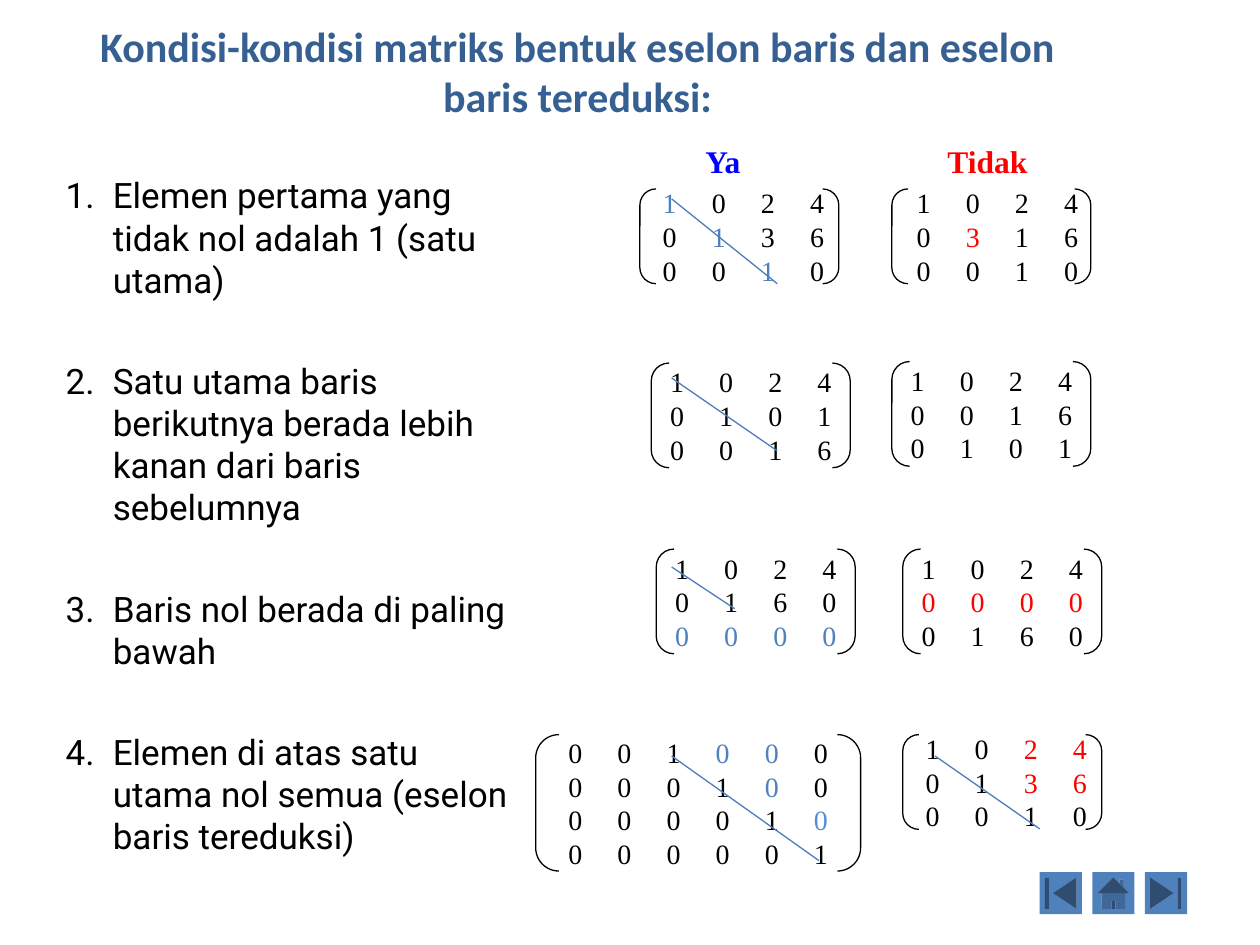
from lxml import etree
from pptx import Presentation
from pptx.dml.color import RGBColor
from pptx.enum.shapes import MSO_CONNECTOR, MSO_SHAPE as Shape
from pptx.enum.text import MSO_ANCHOR as Anchor, MSO_AUTO_SIZE as Fit, PP_ALIGN as Align
from pptx.oxml.ns import qn
from pptx.util import Cm, Pt

BLACK = RGBColor(0x00, 0x00, 0x00)
NAVY = RGBColor(0x37, 0x60, 0x92)
BLUE = RGBColor(0x00, 0x00, 0xFF)
RED = RGBColor(0xFF, 0x00, 0x00)
STEEL = RGBColor(0x4F, 0x81, 0xBD)
SKY = RGBColor(0x55, 0x8E, 0xD5)
EDGE = RGBColor(0x4A, 0x7E, 0xBB)
SERIF = "Times New Roman"


def write(para, text, font=SERIF, size=16, color=BLACK, bold=False):
    run = para.add_run()
    run.text = text
    run.font.name = font
    run.font.size = Pt(size)
    run.font.bold = bold
    run.font.color.rgb = color


def place(shape, left, top, width, height):
    shape.left, shape.top = Cm(left), Cm(top)
    shape.width, shape.height = Cm(width), Cm(height)


deck = Presentation()
deck.slide_width, deck.slide_height = Cm(25.4), Cm(19.05)
slide = deck.slides.add_slide(deck.slide_layouts[1])
shapes = slide.shapes

# Title
title = shapes.title
place(title, 1.27, 0.2, 20.75, 2.46)
frame = title.text_frame
frame.auto_size = Fit.NONE
frame.vertical_anchor = Anchor.MIDDLE
para = frame.paragraphs[0]
para.alignment = Align.CENTER
write(para, "Kondisi-kondisi matriks bentuk eselon baris dan eselon baris tereduksi:",
      font="Calibri", size=24, color=NAVY, bold=True)

# Numbered conditions
body = slide.placeholders[1]
place(body, 1.07, 3.38, 9.73, 14.4)
frame = body.text_frame
frame.auto_size = Fit.NONE
rules = [
    "Elemen pertama yang tidak nol adalah 1 (satu utama)",
    "Satu utama baris berikutnya berada lebih kanan dari baris sebelumnya",
    "Baris nol berada di paling bawah",
    "Elemen di atas satu utama nol semua (eselon baris tereduksi)",
]
for i, rule in enumerate(rules):
    para = frame.add_paragraph() if i else frame.paragraphs[0]
    para.space_before = Pt(34 if i else 0)
    props = para._p.get_or_add_pPr()
    props.set("marL", str(Cm(0.95)))
    props.set("indent", str(-Cm(0.95)))
    etree.SubElement(props, qn("a:buFont"), typeface="+mj-lt")
    etree.SubElement(props, qn("a:buAutoNum"), type="arabicPeriod")
    write(para, rule, font="Roboto", size=20)

# Column labels
for text, left, width, color in [("Ya", 13.97, 1.91, BLUE), ("Tidak", 18.85, 3.38, RED)]:
    box = shapes.add_textbox(Cm(left), Cm(2.74), Cm(width), Cm(1.02))
    box.text_frame.word_wrap = True
    write(box.text_frame.paragraphs[0], text, size=18, color=color, bold=True)

# Matrices: left, top, width, height, shift of the digits, rows;
# a letter before a digit names its colour
TINTS = {"b": STEEL, "s": SKY, "r": RED}
STEP, DIGIT = 0.99, 0.28
grids = [
    (12.9, 3.81, 4.01, 1.91, 0.08, ["b1 0 2 4", "0 b1 3 6", "0 0 b1 0"]),
    (17.98, 3.81, 4.01, 1.91, 0.12, ["1 0 2 4", "0 r3 1 6", "0 0 1 0"]),
    (13.13, 7.32, 4.01, 2.11, 0, ["1 0 2 4", "0 1 0 1", "0 0 1 6"]),
    (17.98, 7.29, 4.01, 2.11, 0, ["1 0 2 4", "0 0 1 6", "0 1 0 1"]),
    (13.23, 11.07, 4.01, 2.11, 0, ["1 0 2 4", "0 1 6 0", "b0 b0 b0 b0"]),
    (18.2, 11.07, 4.01, 2.11, 0, ["1 0 2 4", "r0 r0 r0 r0", "0 1 6 0"]),
    (10.8, 14.81, 6.55, 2.75, 0,
     ["0 0 1 b0 b0 0", "0 0 0 1 b0 0", "0 0 0 0 1 s0", "0 0 0 0 0 1"]),
    (18.2, 14.81, 4.01, 1.91, 0.08, ["1 0 r2 r4", "0 1 r3 r6", "0 0 1 0"]),
]
for left, top, width, height, shift, rows in grids:
    pair = shapes.add_shape(Shape.DOUBLE_BRACKET, Cm(left), Cm(top), Cm(width), Cm(height))
    pair.adjustments[0] = 0.17
    pair.shadow.inherit = False
    pair.fill.background()
    pair.line.color.rgb = BLACK
    pair.line.width = Pt(0.75)
    frame = pair.text_frame
    frame.word_wrap = True
    frame.vertical_anchor = Anchor.MIDDLE
    frame.margin_top = frame.margin_bottom = frame.margin_right = 0
    last = len(rows[0].split()) - 1
    curve = 0.05 * height
    frame.margin_left = Cm((width - last * STEP - DIGIT) / 2 - curve + shift)
    for i, row in enumerate(rows):
        para = frame.add_paragraph() if i else frame.paragraphs[0]
        para.alignment = Align.LEFT
        tabs = etree.SubElement(para._p.get_or_add_pPr(), qn("a:tabLst"))
        for n in range(1, last + 1):
            etree.SubElement(tabs, qn("a:tab"), pos=str(Cm(n * STEP)), algn="l")
        for n, cell in enumerate(row.split()):
            write(para, ("\t" if n else "") + cell[-1], color=TINTS.get(cell[0], BLACK))

# Navigation buttons
kinds = [Shape.ACTION_BUTTON_BEGINNING, Shape.ACTION_BUTTON_HOME, Shape.ACTION_BUTTON_END]
for i, kind in enumerate(kinds):
    key = shapes.add_shape(kind, Cm(20.96 + 1.06 * i), Cm(17.58), Cm(0.85), Cm(0.85))
    key.shadow.inherit = False
    key.fill.solid()
    key.fill.fore_color.rgb = STEEL
    key.line.fill.background()

# Diagonals through the leading ones
for x1, y1, x2, y2 in [
    (18.85, 15.24, 20.96, 16.71),
    (13.54, 11.43, 14.81, 12.27),
    (13.54, 7.62, 15.67, 9.09),
    (13.54, 4.01, 15.67, 5.72),
    (13.54, 15.24, 16.51, 17.35),
]:
    line = shapes.add_connector(MSO_CONNECTOR.STRAIGHT, Cm(x1), Cm(y1), Cm(x2), Cm(y2))
    line.line.color.rgb = EDGE
    line.line.width = Pt(0.75)
    etree.SubElement(line._element.spPr, qn("a:effectLst"))

deck.save("out.pptx")
